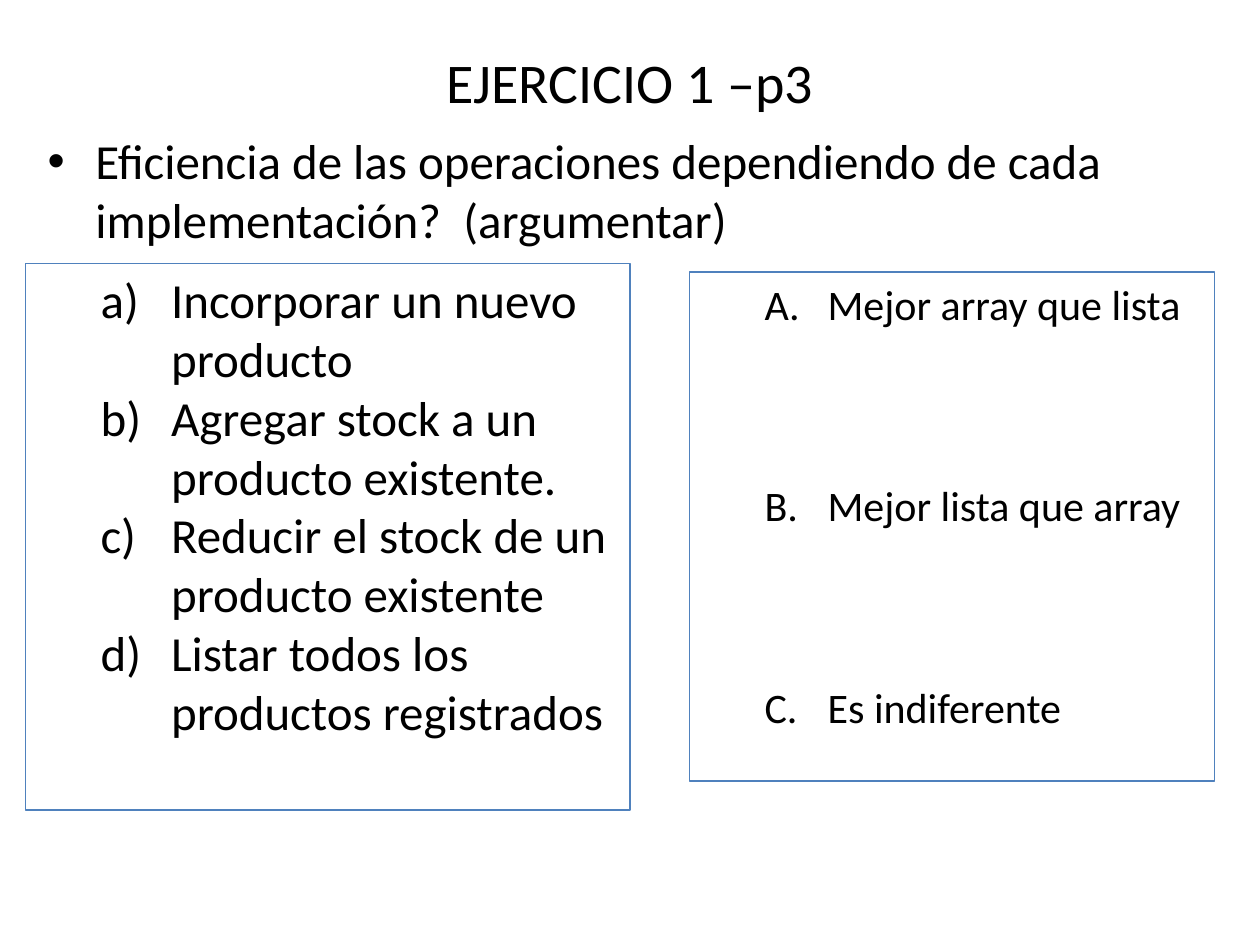
from lxml import etree
from pptx import Presentation
from pptx.dml.color import RGBColor
from pptx.enum.shapes import MSO_SHAPE
from pptx.enum.text import MSO_ANCHOR, PP_ALIGN
from pptx.oxml.ns import qn
from pptx.util import Inches, Pt

RECTANGLE = MSO_SHAPE.RECTANGLE
TOP, MIDDLE = MSO_ANCHOR.TOP, MSO_ANCHOR.MIDDLE
LEFT, CENTER = PP_ALIGN.LEFT, PP_ALIGN.CENTER

WIDTH, HEIGHT = 10, 7.5
FONT, BLACK, BLUE = "Calibri", "000000", "4F81BD"

OPERATIONS = [
    "Incorporar un nuevo producto",
    "Agregar stock a un producto existente.",
    "Reducir el stock de un producto existente",
    "Listar todos los productos registrados",
]
ANSWERS = ["Mejor array que lista", "Mejor lista que array", "Es indiferente"]


def color(hex_string):
    return RGBColor.from_string(hex_string)


def place(box):
    """Turn a box in inches into left, top, width and height."""
    return [Inches(length) for length in box]


def style(paragraph, size, align=LEFT):
    paragraph.alignment = align
    paragraph.font.name = FONT
    paragraph.font.size = Pt(size)
    paragraph.font.color.rgb = color(BLACK)


def add_marker(paragraph, margin, hanging, numbering=None):
    """Hang a bullet, or an automatic number, before the paragraph."""
    properties = paragraph._p.get_or_add_pPr()
    properties.set("marL", str(Inches(margin)))
    properties.set("indent", str(-Inches(hanging)))
    if numbering:
        etree.SubElement(properties, qn("a:buFont"), typeface="+mj-lt")
        etree.SubElement(properties, qn("a:buAutoNum"), type=numbering)
    else:
        etree.SubElement(properties, qn("a:buFont"), typeface="Arial")
        etree.SubElement(properties, qn("a:buChar"), char="•")


def write_title(slide, box, text):
    title = slide.shapes.title
    title.left, title.top, title.width, title.height = place(box)
    title.text_frame.text = text
    title.text_frame.vertical_anchor = MIDDLE
    style(title.text_frame.paragraphs[0], 32, CENTER)


def add_question(slide, box, text):
    frame = slide.shapes.add_textbox(*place(box)).text_frame
    frame.word_wrap = True
    frame.text = text
    question = frame.paragraphs[0]
    style(question, 28)
    add_marker(question, 0.38, 0.38)


def add_options(slide, box, options, size, numbering, margin, hanging, gap=0):
    """Framed list with automatic lettering; gap is in points."""
    panel = slide.shapes.add_shape(RECTANGLE, *place(box))
    panel.shadow.inherit = False
    panel.fill.background()
    panel.line.color.rgb = color(BLUE)
    panel.line.width = Pt(0.75)
    frame = panel.text_frame
    frame.word_wrap = True
    frame.vertical_anchor = TOP
    frame.text = "\n".join(options)
    for number, option in enumerate(frame.paragraphs):
        option.level = 1
        style(option, size)
        option.space_before = Pt(gap if number else 0)
        add_marker(option, margin, hanging, numbering)


def main():
    presentation = Presentation()
    presentation.slide_width = Inches(WIDTH)
    presentation.slide_height = Inches(HEIGHT)
    slide = presentation.slides.add_slide(presentation.slide_layouts[5])

    # Heading and question
    write_title(slide, (0.5, 0.3, WIDTH - 1, 0.69), "EJERCICIO 1 –p3")
    add_question(
        slide, (0.28, 0.99, 9.13, 0.94),
        "Eficiencia de las operaciones dependiendo de cada "
        "implementación?  (argumentar)")

    # Answers on the right, three lines apart; operations on the left
    answer_size = 24
    add_options(slide, (5.47, 2.16, 4.17, 4.04), ANSWERS, answer_size,
                "alphaUcPeriod", 1, 0.5, gap=3 * 1.2 * answer_size)
    add_options(slide, (0.2, 2.09, 4.8, 4.34), OPERATIONS, 28,
                "alphaLcParenR", 1.06, 0.56)

    presentation.save("out.pptx")


if __name__ == "__main__":
    main()
